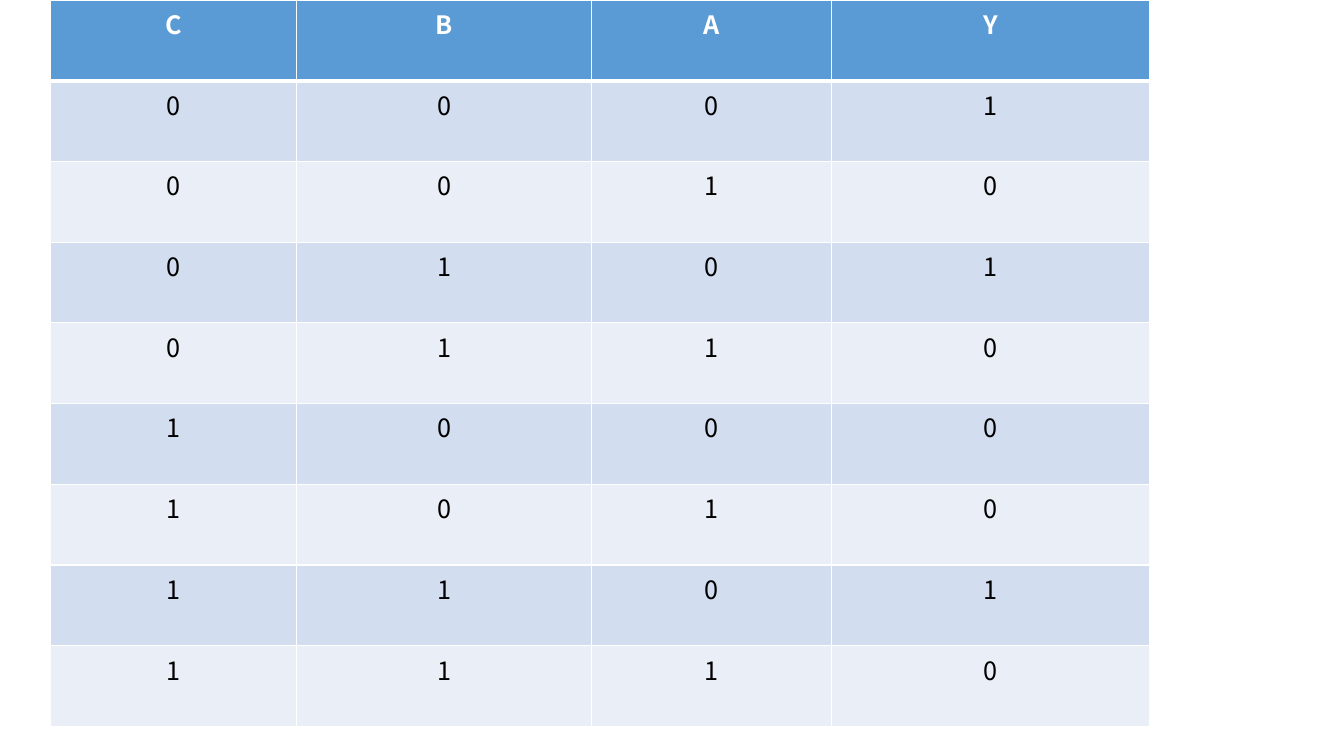
from lxml import etree
from pptx import Presentation
from pptx.dml.color import RGBColor
from pptx.enum import text
from pptx.oxml import ns
from pptx.util import Inches, Pt

TRUTH_TABLE = [
    "CBAY",
    "0001",
    "0010",
    "0101",
    "0110",
    "1000",
    "1010",
    "1101",
    "1110",
]
COLUMN_WIDTHS = [2.44, 2.93, 2.38, 3.15]
LEFT, TOP, HEIGHT = 0.5, 0, 7.21

FONT = "Noto Sans CJK KR"
WHITE = RGBColor(0xFF, 0xFF, 0xFF)
BLACK = RGBColor(0x00, 0x00, 0x00)
HEADER_BLUE = RGBColor(0x5B, 0x9B, 0xD5)
BANDS = [RGBColor(0xEA, 0xEF, 0xF7), RGBColor(0xD2, 0xDE, 0xEF)]


def add_border(cell, side, width):
    properties = cell._tc.get_or_add_tcPr()
    line = etree.SubElement(properties, ns.qn(f"a:ln{side}"), w=str(Pt(width)))
    fill = etree.SubElement(line, ns.qn("a:solidFill"))
    etree.SubElement(fill, ns.qn("a:srgbClr"), val=str(WHITE))


def write_cell(cell, words, *, fill, color, bold, borders):
    for side, width in borders.items():
        add_border(cell, side, width)
    cell.fill.solid()
    cell.fill.fore_color.rgb = fill
    para = cell.text_frame.paragraphs[0]
    para.alignment = text.PP_ALIGN.CENTER
    span = para.add_run()
    span.text = words
    span.font.name = FONT
    span.font.size = Pt(18)
    span.font.bold = bold
    span.font.color.rgb = color


def main():
    deck = Presentation()
    deck.slide_width, deck.slide_height = Inches(13.33), Inches(7.5)
    page = deck.slides.add_slide(deck.slide_layouts[6])
    table = page.shapes.add_table(
        len(TRUTH_TABLE), len(COLUMN_WIDTHS),
        Inches(LEFT), Inches(TOP), Inches(sum(COLUMN_WIDTHS)), Inches(HEIGHT),
    ).table
    for column, width in zip(table.columns, COLUMN_WIDTHS):
        column.width = Inches(width)

    for row, values in enumerate(TRUTH_TABLE):
        header = row == 0
        table.rows[row].height = Inches(HEIGHT / len(TRUTH_TABLE))
        borders = {"L": 1, "R": 1, "T": 3 if row == 1 else 1, "B": 3 if header else 1}
        for column, value in enumerate(values):
            write_cell(
                table.cell(row, column), value,
                fill=HEADER_BLUE if header else BANDS[row % 2],
                color=WHITE if header else BLACK,
                bold=header, borders=borders,
            )
    deck.save("out.pptx")


if __name__ == "__main__":
    main()
